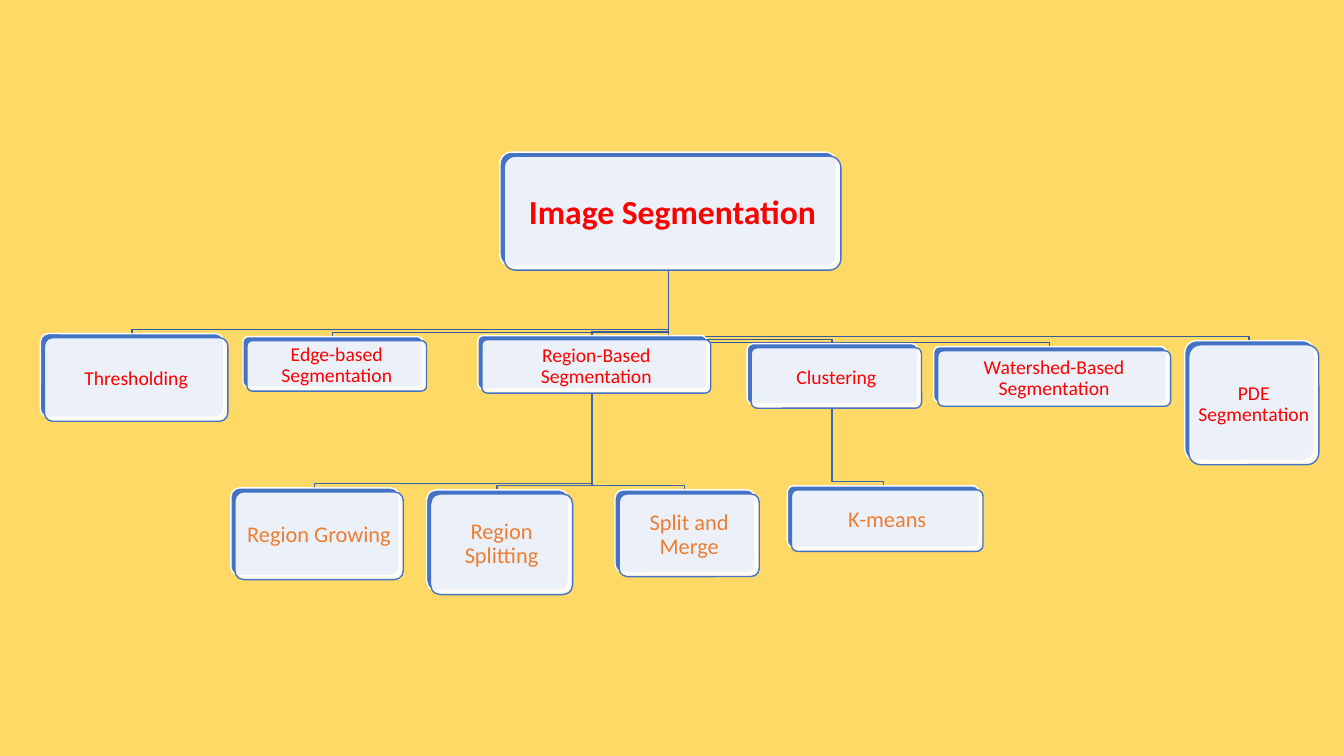
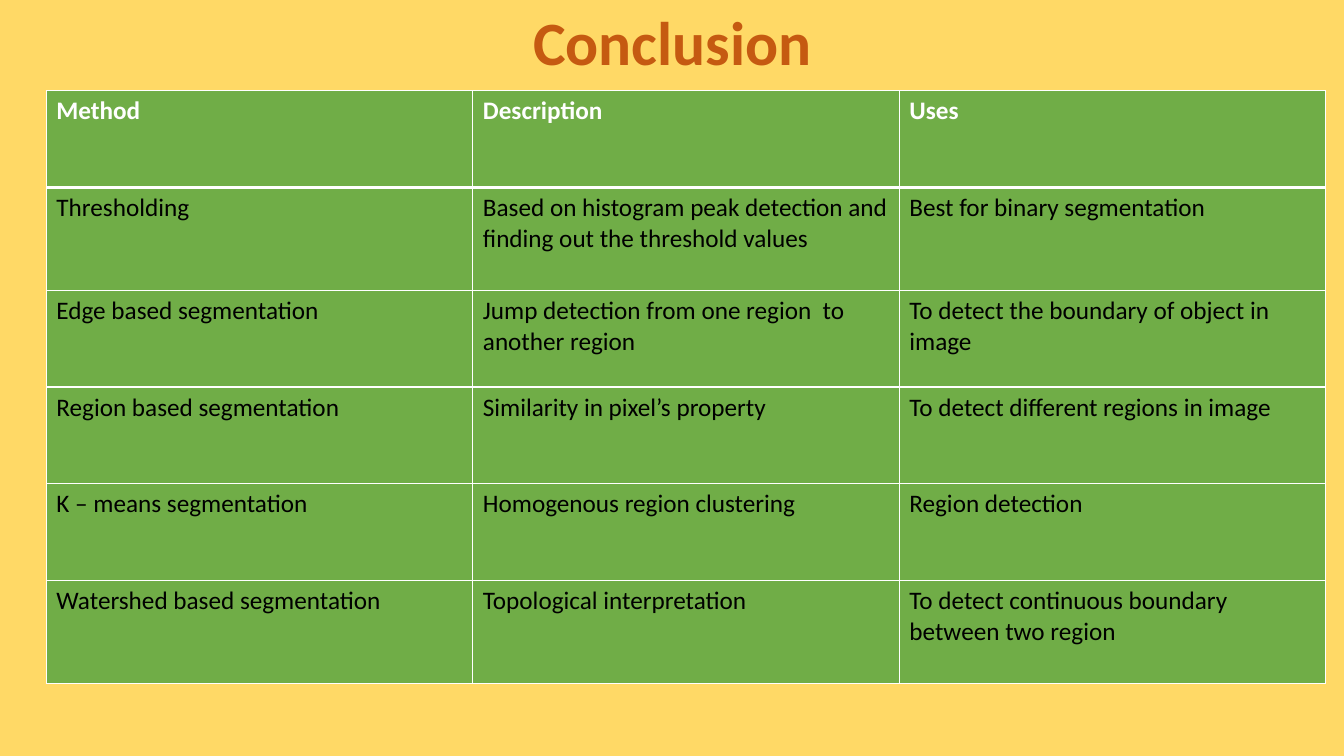
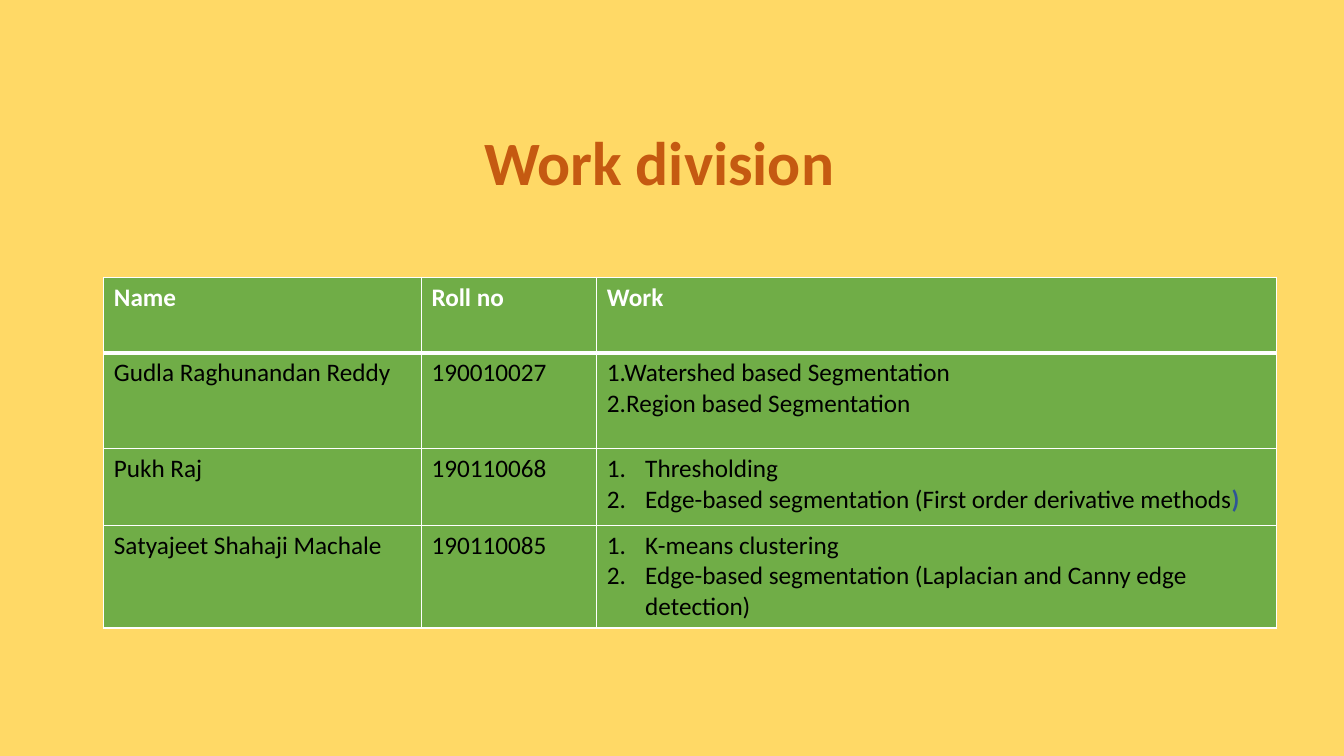
from dataclasses import dataclass

from lxml import etree
from pptx import Presentation
from pptx.dml.color import RGBColor
from pptx.enum.shapes import MSO_SHAPE
from pptx.enum.text import MSO_ANCHOR, PP_ALIGN
from pptx.oxml.ns import qn
from pptx.util import Pt

PX = 9144  # 100 px to the inch
SLIDE_WIDTH, SLIDE_HEIGHT = 1333, 750
FONT = "Calibri"
CENTER, MIDDLE = PP_ALIGN.CENTER, MSO_ANCHOR.MIDDLE
ROUNDED = MSO_SHAPE.ROUNDED_RECTANGLE

COLORS = {
    "background": "FFD966",
    "title": "C55A11",
    "white": "FFFFFF",
    "black": "000000",
    "table": "70AD47",
    "bracket": "2F5597",
    "box": "4472C4",
    "root": "FF0000",
    "method": "FF0000",
    "variant": "ED7D31",
    "method_link": "365B9D",
    "variant_link": "3E67B2",
}

# Box styles by level: font size, text inset, bold
LEVELS = {"root": (24, 10, True), "method": (14, 5, False), "variant": (16, 7, False)}
CARD_OFFSET = 4
ELBOW_GAP = 4
NUMBER_INDENT = 38


@dataclass
class Box:
    text: str
    level: str
    left: int
    top: int
    width: int
    height: int
    parent: str = ""


TREE = [
    Box("Image Segmentation", "root", 496, 151, 334, 113),
    Box("Thresholding", "method", 40, 331, 182, 83, "Image Segmentation"),
    Box("Edge-based Segmentation", "method", 241, 334, 178, 50, "Image Segmentation"),
    Box("Region-Based Segmentation", "method", 474, 333, 227, 53, "Image Segmentation"),
    Box("Clustering", "method", 741, 341, 169, 60, "Image Segmentation"),
    Box("Watershed-Based Segmentation", "method", 926, 344, 231, 55, "Image Segmentation"),
    Box("PDE Segmentation", "method", 1175, 338, 129, 119, "Image Segmentation"),
    Box("Region Growing", "variant", 229, 484, 167, 87, "Region-Based Segmentation"),
    Box("Region Splitting", "variant", 423, 486, 141, 100, "Region-Based Segmentation"),
    Box("Split and Merge", "variant", 610, 486, 139, 82, "Region-Based Segmentation"),
    Box("K-means", "variant", 781, 482, 190, 61, "Clustering"),
]

CONCLUSION = [
    ("Method", "Description", "Uses"),
    ("Thresholding",
     "Based on histogram peak detection and finding out the threshold values",
     "Best for binary segmentation"),
    ("Edge based segmentation",
     "Jump detection from one region  to another region",
     "To detect the boundary of object in image"),
    ("Region based segmentation", "Similarity in pixel’s property",
     "To detect different regions in image"),
    ("K – means segmentation", "Homogenous region clustering", "Region detection"),
    ("Watershed based segmentation", "Topological interpretation",
     "To detect continuous boundary between two region"),
]

WORK = [
    ("Name", "Roll no", "Work"),
    ("Gudla Raghunandan Reddy", "190010027",
     "1.Watershed based Segmentation\n2.Region based Segmentation"),
    ("Pukh Raj", "190110068",
     "Thresholding\nEdge-based segmentation (First order derivative methods"),
    ("Satyajeet Shahaji Machale", "190110085",
     "K-means clustering\nEdge-based segmentation (Laplacian and Canny edge detection)"),
]


def color(name):
    return RGBColor.from_string(COLORS[name])


def px(*lengths):
    return [length * PX for length in lengths]


def style_font(font, size, color_name, bold=False):
    font.name, font.size, font.bold = FONT, Pt(size), bold
    font.color.rgb = color(color_name)


def set_line(shape, color_name):
    shape.line.color.rgb = color(color_name)
    shape.line.width = Pt(1)
    shape.shadow.inherit = False


def add_slide(presentation):
    return presentation.slides.add_slide(presentation.slide_layouts[6])


def add_title(slide, text, left, top, width, height):
    frame = slide.shapes.add_textbox(*px(left, top, width, height)).text_frame
    frame.word_wrap = True
    frame.vertical_anchor = MIDDLE
    paragraph = frame.paragraphs[0]
    paragraph.text = text
    paragraph.alignment = CENTER
    paragraph.line_spacing = 0.9
    style_font(paragraph.font, 44, "title", True)


# Tree diagram
def add_link(slide, parent, child):
    start_x = parent.left + parent.width // 2
    end_x = child.left + child.width // 2
    elbow_y = child.top - ELBOW_GAP
    builder = slide.shapes.build_freeform(
        start_x, parent.top + parent.height, scale=PX)
    builder.add_line_segments(
        [(start_x, elbow_y), (end_x, elbow_y), (end_x, child.top)], close=False)
    link = builder.convert_to_shape()
    link.fill.background()
    set_line(link, child.level + "_link")


def add_card(slide, box, offset, fill_name, line_name):
    card = slide.shapes.add_shape(
        ROUNDED, *px(box.left + offset, box.top + offset, box.width, box.height))
    card.adjustments[0] = 0.1
    card.fill.solid()
    card.fill.fore_color.rgb = color(fill_name)
    set_line(card, line_name)
    return card


def add_box(slide, box):
    add_card(slide, box, 0, "box", "white")
    front = add_card(slide, box, CARD_OFFSET, "white", "box")
    fill_color = front.element.spPr.find(qn("a:solidFill")).find(qn("a:srgbClr"))
    etree.SubElement(fill_color, qn("a:alpha"), val="90000")

    size, inset, bold = LEVELS[box.level]
    frame = front.text_frame
    frame.word_wrap = True
    frame.vertical_anchor = MIDDLE
    frame.margin_left = frame.margin_right = inset * PX
    frame.margin_top = frame.margin_bottom = inset * PX
    paragraph = frame.paragraphs[0]
    paragraph.text = box.text
    paragraph.alignment = CENTER
    paragraph.line_spacing = 0.9
    style_font(paragraph.font, size, box.level, bold)


# Tables
def set_borders(cell, top, bottom):
    properties = cell._tc.get_or_add_tcPr()
    for side, points in (("L", 1), ("R", 1), ("T", top), ("B", bottom)):
        border = etree.SubElement(properties, qn("a:ln" + side), w=str(Pt(points)))
        fill = etree.SubElement(border, qn("a:solidFill"))
        etree.SubElement(fill, qn("a:srgbClr"), val=COLORS["white"])


def number_paragraph(paragraph):
    properties = paragraph._p.get_or_add_pPr()
    properties.set("marL", str(NUMBER_INDENT * PX))
    properties.set("indent", str(-NUMBER_INDENT * PX))
    bullet = etree.Element(qn("a:buAutoNum"), type="arabicPeriod")
    properties.insert(0, bullet)


def add_table(slide, rows, left, top, widths, heights):
    table = slide.shapes.add_table(
        len(rows), len(widths), *px(left, top, sum(widths), sum(heights))).table
    table.horz_banding = False
    for column, width in zip(table.columns, widths):
        column.width = width * PX
    for row_index, (texts, height) in enumerate(zip(rows, heights)):
        table.rows[row_index].height = height * PX
        header = row_index == 0
        for cell, text in zip(table.rows[row_index].cells, texts):
            set_borders(cell, 3 if row_index == 1 else 1, 3 if header else 1)
            cell.fill.solid()
            cell.fill.fore_color.rgb = color("table")
            cell.text = text
            for paragraph in cell.text_frame.paragraphs:
                style_font(paragraph.font, 18, "white" if header else "black", header)
    return table


# Slides
def build_tree_slide(presentation):
    slide = add_slide(presentation)
    boxes = {box.text: box for box in TREE}
    for box in reversed(TREE):
        if box.parent:
            add_link(slide, boxes[box.parent], box)
    for box in TREE:
        add_box(slide, box)


def build_conclusion_slide(presentation):
    slide = add_slide(presentation)
    add_title(slide, "Conclusion", 92, 0, 1150, 90)
    add_table(slide, CONCLUSION, 46, 90, [423] * 3, [96, 102, 96, 96, 96, 102])


def build_work_slide(presentation):
    slide = add_slide(presentation)
    add_title(slide, "Work division", 79, 92, 1150, 145)
    table = add_table(slide, WORK, 103, 275, [315, 174, 674], [75, 95, 76, 102])
    for row_index in (2, 3):
        for paragraph in table.cell(row_index, 2).text_frame.paragraphs:
            number_paragraph(paragraph)
    bracket = table.cell(2, 2).text_frame.paragraphs[-1].add_run()
    bracket.text = ")"
    style_font(bracket.font, 18, "bracket", True)


def main():
    presentation = Presentation()
    presentation.slide_width, presentation.slide_height = px(SLIDE_WIDTH, SLIDE_HEIGHT)
    background = presentation.slide_master.background.fill
    background.solid()
    background.fore_color.rgb = color("background")
    build_tree_slide(presentation)
    build_conclusion_slide(presentation)
    build_work_slide(presentation)
    presentation.save("out.pptx")


if __name__ == "__main__":
    main()
